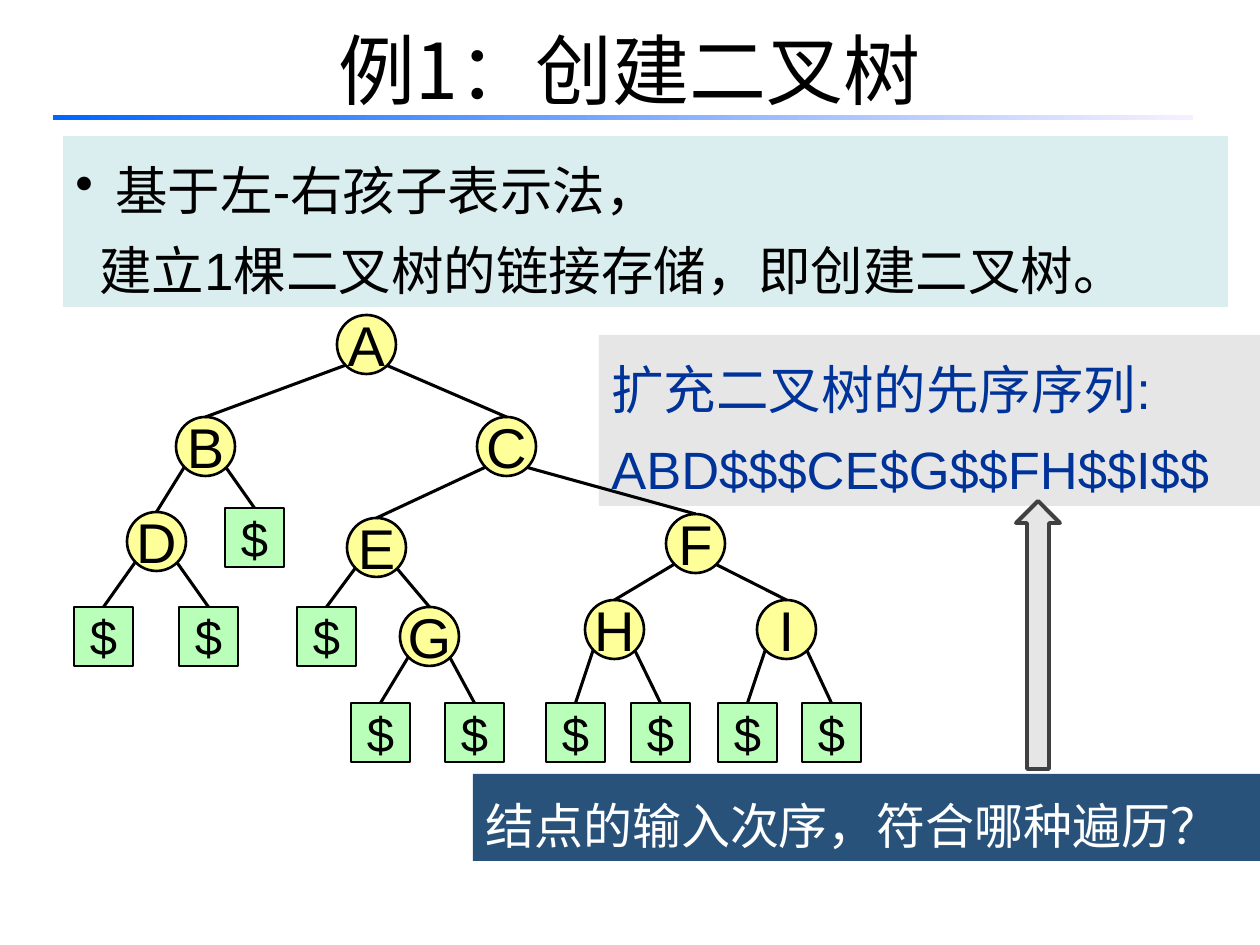
"""Build the slide on creating a binary tree from its extended preorder sequence."""
import dataclasses
import math
import typing

import pptx
import pptx.dml.color
import pptx.enum.shapes
import pptx.enum.text
import pptx.oxml.ns
import pptx.util
from lxml import etree

EMU_PER_PX = 914400 / 126
NODE = 59
SHAPE = pptx.enum.shapes.MSO_SHAPE
ALIGN = pptx.enum.text.PP_ALIGN
ANCHOR = pptx.enum.text.MSO_ANCHOR


@dataclasses.dataclass(frozen=True)
class Theme:
    latin: str = "Arial"
    cjk: str = "Noto Sans CJK SC"
    black: str = "000000"
    white: str = "FFFFFF"
    blue: str = "003399"
    navy: str = "29527B"
    teal: str = "DAEDEF"
    gray: str = "E6E6E6"
    dark: str = "404040"
    yellow: str = "FFFF99"
    green: str = "B9FFB9"
    rule_start: str = "0066FF"
    rule_end: str = "F7EFFF"
    title: int = 44
    node: int = 32
    body: int = 30
    small: int = 28
    leading: float = 1.51


@dataclasses.dataclass(frozen=True)
class Box:
    x: int
    y: int
    w: int
    h: int


@dataclasses.dataclass(frozen=True)
class Node:
    x: int
    top: int
    label: str = "$"
    left: typing.Optional["Node"] = None
    right: typing.Optional["Node"] = None


THEME = Theme()
TREE = Node(
    366, 315, "A",
    Node(205, 417, "B",
         Node(156, 512, "D", Node(103, 607), Node(208, 607)),
         Node(254, 508)),
    Node(506, 417, "C",
         Node(376, 518, "E",
              Node(326, 607),
              Node(429, 607, "G", Node(380, 703), Node(474, 703))),
         Node(695, 514, "F",
              Node(614, 600, "H", Node(575, 703), Node(660, 703)),
              Node(786, 600, "I", Node(747, 703), Node(831, 703)))))


def px(n: float) -> int:
    return pptx.util.Emu(round(n * EMU_PER_PX))


def rgb(value: str) -> pptx.dml.color.RGBColor:
    return pptx.dml.color.RGBColor.from_string(value)


def put_text(sp, lines: list[str], *, size: int, color: str = THEME.black,
             font: str = THEME.latin, align=ALIGN.LEFT, anchor=ANCHOR.TOP,
             wrap: bool = True, inset: bool = True, leading: float = 0) -> None:
    tf = sp.text_frame
    tf.auto_size = pptx.enum.text.MSO_AUTO_SIZE.NONE
    tf.word_wrap = wrap
    tf.vertical_anchor = anchor
    if not inset:
        tf.margin_left = tf.margin_top = tf.margin_right = tf.margin_bottom = 0
    for i, line in enumerate(lines):
        p = tf.add_paragraph() if i else tf.paragraphs[0]
        p.alignment = align
        if leading:
            p.line_spacing = pptx.util.Pt(size * leading)
        r = p.add_run()
        r.text = line
        r.font.size = pptx.util.Pt(size)
        r.font.color.rgb = rgb(color)
        r.font.name = font
        ea = etree.SubElement(r.font._element, pptx.oxml.ns.qn("a:ea"))
        ea.set("typeface", font)


def indent(p, margin: int, bullet: str = "") -> None:
    ppr = p._p.get_or_add_pPr()
    ppr.set("marL", str(px(margin)))
    ppr.set("indent", str(-px(margin) if bullet else 0))
    if bullet:
        etree.SubElement(ppr, pptx.oxml.ns.qn("a:buChar")).set("char", bullet)


def add_shape(slide, kind, box: Box, fill: str = "", line: str = "", width: float = 1.5):
    sp = slide.shapes.add_shape(kind, px(box.x), px(box.y), px(box.w), px(box.h))
    sp.shadow.inherit = False
    if fill:
        sp.fill.solid()
        sp.fill.fore_color.rgb = rgb(fill)
    if line:
        sp.line.color.rgb = rgb(line)
        sp.line.width = pptx.util.Pt(width)
    else:
        sp.line.fill.background()
    return sp


def add_panel(slide, box: Box, fill: str, lines: list[str], size: int, color: str):
    sp = add_shape(slide, SHAPE.RECTANGLE, box, fill)
    put_text(sp, lines, size=size, color=color, leading=THEME.leading)
    return sp


def add_edge(slide, parent: Node, child: Node, child_sp, side: int) -> None:
    reach = NODE / 2 * math.sqrt(0.5)
    cxn = slide.shapes.add_connector(
        pptx.enum.shapes.MSO_CONNECTOR.STRAIGHT,
        px(parent.x + side * reach), px(parent.top + NODE / 2 + reach),
        px(child.x), px(child.top))
    cxn.end_connect(child_sp, 0)
    cxn.line.color.rgb = rgb(THEME.black)
    cxn.line.width = pptx.util.Pt(1.75)
    etree.SubElement(cxn._element.spPr, pptx.oxml.ns.qn("a:effectLst"))


def add_tree(slide, node: Node):
    box = Box(node.x - NODE // 2, node.top, NODE, NODE)
    if node.label == "$":
        sp = add_shape(slide, SHAPE.RECTANGLE, box, THEME.green, THEME.black)
        put_text(sp, [node.label], size=THEME.small, align=ALIGN.CENTER, inset=False)
    else:
        sp = add_shape(slide, SHAPE.OVAL, box, THEME.yellow, THEME.black)
        put_text(sp, [node.label], size=THEME.node, align=ALIGN.CENTER,
                 anchor=ANCHOR.MIDDLE, wrap=False)
    for child, side in ((node.left, -1), (node.right, 1)):
        if child:
            add_edge(slide, node, child, add_tree(slide, child), side)
    return sp


def add_title(slide, text: str) -> None:
    sp = slide.shapes.title
    sp.left, sp.top, sp.width, sp.height = px(63), px(-10), px(1134), px(158)
    put_text(sp, [text], size=THEME.title, font=THEME.cjk,
             align=ALIGN.CENTER, anchor=ANCHOR.MIDDLE)
    rule = add_shape(slide, SHAPE.RECTANGLE, Box(53, 115, 1140, 5))
    rule.fill.gradient()
    rule.fill.gradient_angle = 0
    for stop, color in zip(rule.fill.gradient_stops, (THEME.rule_start, THEME.rule_end)):
        stop.color.rgb = rgb(color)


def main() -> None:
    prs = pptx.Presentation()
    prs.slide_width, prs.slide_height = px(1260), px(945)
    slide = prs.slides.add_slide(prs.slide_layouts[5])
    add_title(slide, "例1：创建二叉树")
    add_panel(slide, Box(599, 335, 661, 171), THEME.gray,
              ["扩充二叉树的先序序列:", "ABD$$$CE$G$$FH$$I$$"], THEME.body, THEME.blue)
    add_tree(slide, TREE)
    arrow = add_shape(slide, SHAPE.DOWN_ARROW, Box(1016, 501, 44, 268),
                      THEME.gray, THEME.dark, 2.25)
    arrow.rotation = 180
    intro = add_panel(slide, Box(63, 136, 1165, 171), THEME.teal,
                      ["基于左-右孩子表示法，", "建立1棵二叉树的链接存储，即创建二叉树。"],
                      THEME.body, THEME.black)
    first, second = intro.text_frame.paragraphs
    indent(first, 40, "•")
    indent(second, 24)
    add_panel(slide, Box(473, 774, 787, 87), THEME.navy,
              ["结点的输入次序，符合哪种遍历？"], THEME.small, THEME.white)
    prs.save("out.pptx")


if __name__ == "__main__":
    main()
